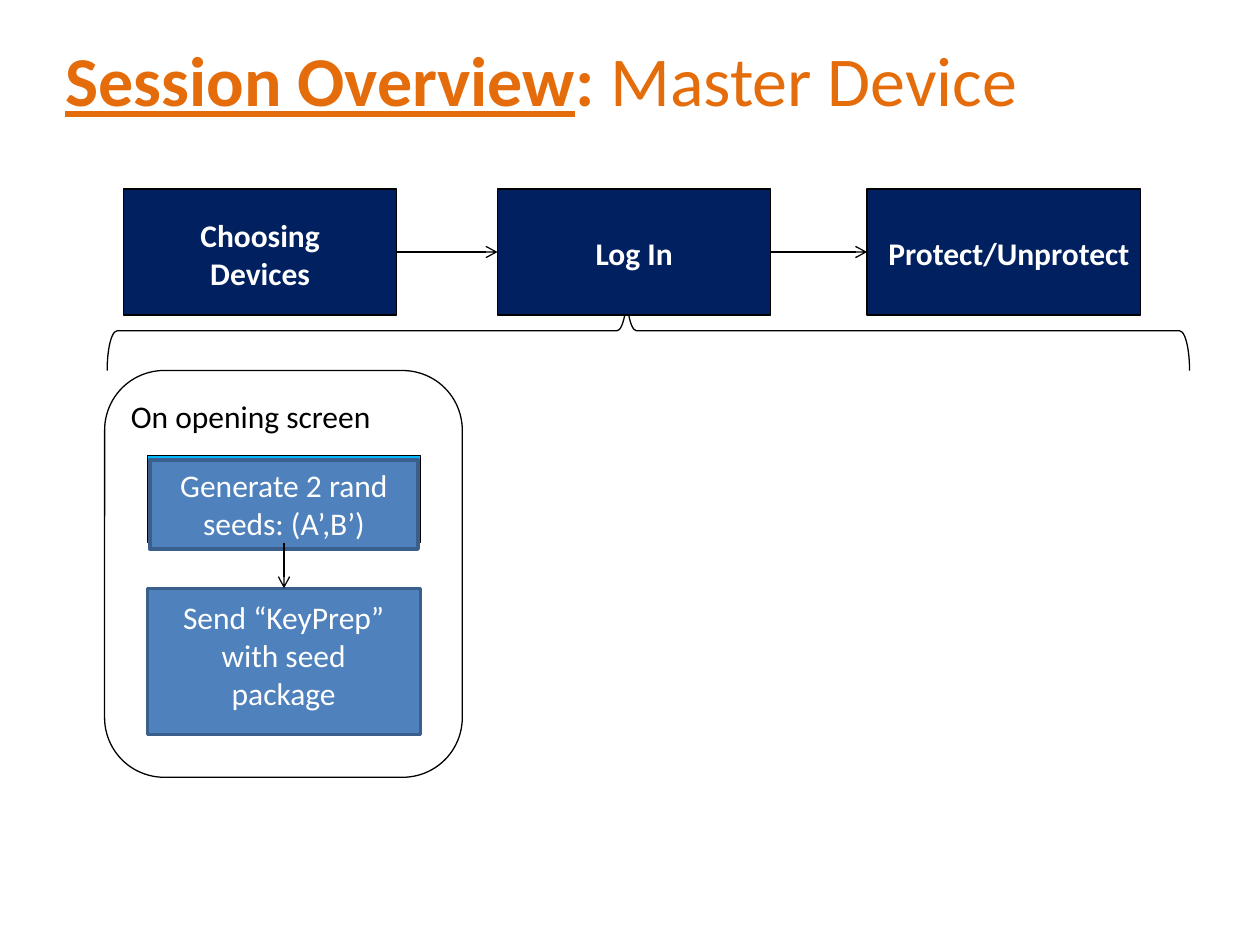
from dataclasses import dataclass

from lxml.etree import SubElement
from pptx import Presentation
from pptx.dml.color import RGBColor
from pptx.enum.shapes import MSO_CONNECTOR, MSO_SHAPE
from pptx.enum.text import MSO_ANCHOR, PP_ALIGN
from pptx.oxml.ns import qn
from pptx.util import Cm, Pt

BLACK, WHITE, NAVY, BLUE = "000000", "FFFFFF", "002060", "4F81BD"
EDGE, CYAN, ORANGE = "3A5F8C", "00B8FF", "E46C0A"


@dataclass
class Box:
    left: float
    top: float
    width: float
    height: float

    def place(self) -> list:
        return [Cm(v) for v in (self.left, self.top, self.width, self.height)]


@dataclass
class Step:
    left: float
    label: Box
    lines: list


def paint(color, code: str) -> None:
    color.rgb = RGBColor.from_string(code)


def write(frame, lines: list, align=PP_ALIGN.CENTER, anchor=MSO_ANCHOR.TOP,
          color: str = WHITE, size: int = 18, **style) -> None:
    """Fill a frame; each line is a list of (text, extra format) runs."""
    frame.word_wrap = True
    frame.vertical_anchor = anchor
    for i, line in enumerate(lines):
        para = frame.add_paragraph() if i else frame.paragraphs[0]
        para.alignment = align
        for text, extra in line:
            run = para.add_run()
            run.text = text
            form = {"name": "Calibri", "size": Pt(size), **style, **extra}
            for key, value in form.items():
                setattr(run.font, key, value)
            paint(run.font.color, color)


def plain(*lines: str) -> list:
    return [[(line, {})] for line in lines]


def label(slide, box: Box, lines: list, **form) -> None:
    write(slide.shapes.add_textbox(*box.place()).text_frame, lines, **form)


def draw(slide, kind, box: Box, fill: str = "", edge: str = BLACK,
         width: float = 0.75):
    shape = slide.shapes.add_shape(kind, *box.place())
    shape.shadow.inherit = False
    if fill:
        shape.fill.solid()
        paint(shape.fill.fore_color, fill)
    else:
        shape.fill.background()
    paint(shape.line.color, edge)
    shape.line.width = Pt(width)
    return shape


def join(slide, first, last, start: int, end: int) -> None:
    line = slide.shapes.add_connector(MSO_CONNECTOR.STRAIGHT, 0, 0, 0, 0)
    line.begin_connect(first, start)
    line.end_connect(last, end)
    paint(line.line.color, BLACK)
    line.line.width = Pt(0.75)
    props = line._element.spPr
    SubElement(props.find(qn("a:ln")), qn("a:tailEnd"), type="arrow")
    SubElement(props, qn("a:effectLst"))


STEPS = [
    Step(2.49, Box(2.92, 4.24, 4.65, 1.8), plain("Choosing", "Devices")),
    Step(10.03, Box(10.46, 4.6, 4.65, 1.02), plain("Log In")),
    Step(17.48, Box(17.48, 4.6, 5.72, 1.02), plain("Protect/Unprotect")),
]


def main() -> None:
    deck = Presentation()
    deck.slide_width, deck.slide_height = Cm(25.4), Cm(19.05)
    slide = deck.slides.add_slide(deck.slide_layouts[6])
    rect = MSO_SHAPE.RECTANGLE

    # Brace under the steps, turned to point up
    brace = draw(slide, MSO_SHAPE.LEFT_BRACE, Box(12.27, -4.24, 1.6, 21.82))
    brace.rotation = 90
    brace.adjustments[0], brace.adjustments[1] = 0.125, 0.52

    # Opening screen panel
    label(slide, Box(2.39, 7.87, 9.63, 0.97), plain("On opening screen"),
          align=PP_ALIGN.LEFT, color=BLACK)
    send = draw(slide, rect, Box(2.97, 11.86, 5.51, 2.95), BLUE, EDGE, 2)
    label(slide, Box(3.18, 11.94, 5.08, 3.33),
          plain("Send “KeyPrep” with seed package"))
    draw(slide, MSO_SHAPE.ROUNDED_RECTANGLE, Box(2.11, 7.47, 7.21, 8.2))
    back = draw(slide, rect, Box(2.97, 9.19, 5.51, 1.75), CYAN)
    seeds = draw(slide, rect, Box(3.02, 9.27, 5.41, 1.8), BLUE, EDGE, 2)
    write(seeds.text_frame, plain("Generate 2 rand seeds: (A’,B’)"))
    join(slide, back, send, 2, 0)

    # Row of steps with arrows between
    prev = None
    for step in STEPS:
        card = draw(slide, rect, Box(step.left, 3.81, 5.51, 2.54), NAVY)
        label(slide, step.label, step.lines, bold=True)
        if prev is not None:
            join(slide, prev, card, 3, 1)
        prev = card

    # Title
    title = [[("Session Overview", {"bold": True, "underline": True}),
              (": ", {"bold": True}), ("Master Device", {})]]
    label(slide, Box(1.07, 0, 22.86, 3.18), title, align=PP_ALIGN.LEFT,
          anchor=MSO_ANCHOR.MIDDLE, color=ORANGE, size=40)

    deck.save("out.pptx")


if __name__ == "__main__":
    main()
